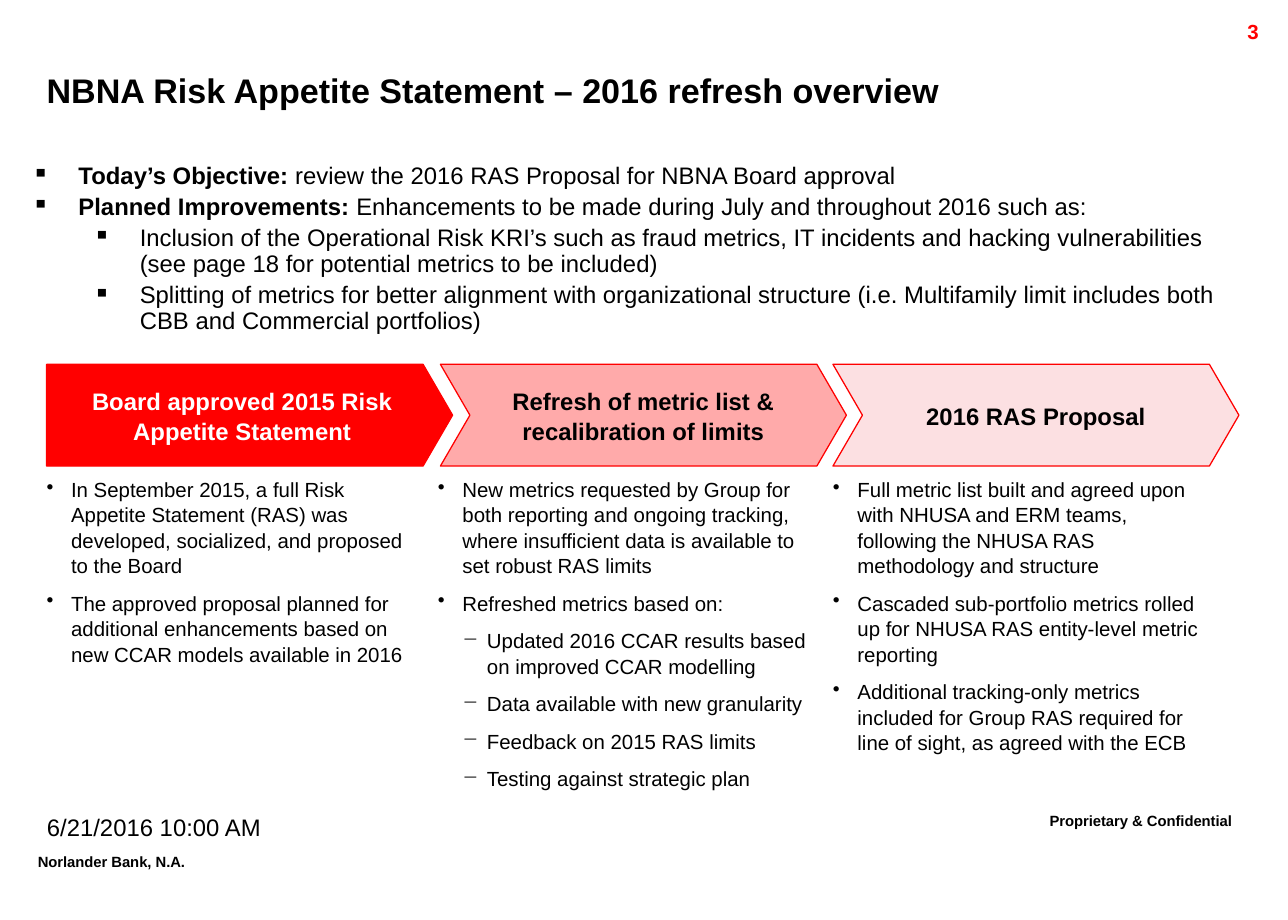
from dataclasses import dataclass

import lxml.etree
import pptx
import pptx.dml.color
import pptx.enum.shapes
import pptx.enum.text
import pptx.oxml.ns
import pptx.util

EMU_PER_PX = 9144  # 100 px to the inch
FONT = "Arial"
BLACK, WHITE, RED = "000000", "FFFFFF", "FF0000"
ALIGN = pptx.enum.text.PP_ALIGN
ANCHOR = pptx.enum.text.MSO_ANCHOR
PRESET = pptx.enum.shapes.MSO_SHAPE


@dataclass
class Item:
    text: str
    level: int = 0
    lead: str = ""  # bold opening words


@dataclass
class Stage:
    heading: str
    preset: int
    fill: str
    color: str
    arrow_left: int
    text_left: int
    text_width: int
    text_height: int
    items: list[Item]


@dataclass
class Label:
    text: str
    box: tuple[int, int, int, int]
    size: float
    bold: bool = True
    color: str = BLACK
    align: int = ALIGN.CENTER
    spacing: float = 0.86
    raised: int = 0
    margin: tuple[int, int] = (10, 5)
    anchor: int = ANCHOR.TOP
    wrap: bool = True


OBJECTIVES = [
    Item("review the 2016 RAS Proposal for NBNA Board approval", lead="Today’s Objective: "),
    Item(" Enhancements to be made during July and throughout 2016 such as:",
         lead="Planned Improvements:"),
    Item("Inclusion of the Operational Risk KRI’s such as fraud metrics, IT incidents and "
         "hacking vulnerabilities  (see page 18 for potential metrics to be included)", 1),
    Item("Splitting of metrics for better alignment with organizational structure "
         "(i.e. Multifamily limit includes both CBB and Commercial portfolios)", 1),
]

STAGES = [
    Stage("Board approved 2015 Risk Appetite Statement", PRESET.PENTAGON, RED, WHITE,
          38, 38, 300, 151, [
              Item("In September 2015, a full Risk Appetite Statement (RAS) was developed, "
                   "socialized, and proposed to the Board"),
              Item("The approved proposal planned for additional enhancements based on "
                   "new CCAR models available in 2016"),
          ]),
    Stage("Refresh of metric list & recalibration of limits", PRESET.CHEVRON, "FFAAAA", BLACK,
          359, 357, 306, 251, [
              Item("New metrics requested by Group for both reporting and ongoing tracking, "
                   "where insufficient data is available to set robust RAS limits"),
              Item("Refreshed metrics based on:"),
              Item("Updated 2016 CCAR results based on improved CCAR modelling", 1),
              Item("Data available with new granularity", 1),
              Item("Feedback on 2015 RAS limits", 1),
              Item("Testing against strategic plan", 1),
          ]),
    Stage("2016 RAS Proposal", PRESET.CHEVRON, "FCE0E2", BLACK,
          679, 679, 309, 222, [
              Item("Full metric list built and agreed upon with NHUSA and ERM teams, "
                   "following the NHUSA RAS methodology and structure"),
              Item("Cascaded sub-portfolio metrics rolled up for NHUSA RAS entity-level "
                   "metric reporting"),
              Item("Additional tracking-only metrics included for Group RAS required for "
                   "line of sight, as agreed with the ECB"),
          ]),
]

LABELS = [
    Label("Norlander Bank, N.A.", (21, 691, 168, 32), 15, align=ALIGN.LEFT, raised=30, wrap=False),
    Label("6/21/2016 10:00 AM", (5, 661, 241, 34), 14, bold=False),
    Label("Proprietary & Confidential", (821, 658, 218, 35), 15, raised=30),
    Label("3", (936, 11, 100, 24), 12, color=RED, align=ALIGN.RIGHT, spacing=1.0),
    Label("NBNA Risk Appetite Statement – 2016 refresh overview", (38, 49, 948, 48), 20,
          align=ALIGN.LEFT, spacing=1.0, margin=(0, 0), anchor=ANCHOR.MIDDLE),
]


def px(value: int) -> pptx.util.Emu:
    return pptx.util.Emu(value * EMU_PER_PX)


def rgb(value: str) -> pptx.dml.color.RGBColor:
    return pptx.dml.color.RGBColor.from_string(value)


def add_text(paragraph, text: str, *, size: float, bold: bool = False,
             color: str = BLACK, raised: int = 0) -> None:
    run = paragraph.add_run()
    run.text = text
    run.font.name = FONT
    run.font.size = pptx.util.Pt(size)
    run.font.bold = bold
    run.font.color.rgb = rgb(color)
    if raised:
        run.font._element.set("baseline", str(raised * 1000))


def set_margins(frame, horizontal: int, vertical: int) -> None:
    frame.margin_left = frame.margin_right = px(horizontal)
    frame.margin_top = frame.margin_bottom = px(vertical)


def add_bullet(paragraph, marker: str, left: int, hanging: int) -> None:
    properties = paragraph._p.get_or_add_pPr()
    properties.set("marL", str(px(left)))
    properties.set("indent", str(-px(hanging)))
    bullet = lxml.etree.SubElement(properties, pptx.oxml.ns.qn("a:buChar"))
    bullet.set("char", marker)


def fill_list(frame, items: list[Item], *, size: float, markers: str, hanging: int,
              step: int, spacing: float, before: float = 0, after: float = 0) -> None:
    for index, item in enumerate(items):
        paragraph = frame.paragraphs[0] if index == 0 else frame.add_paragraph()
        add_bullet(paragraph, markers[item.level], hanging + step * item.level, hanging)
        paragraph.level = item.level
        paragraph.alignment = ALIGN.LEFT
        paragraph.line_spacing = spacing
        paragraph.space_before = pptx.util.Pt(before if index else 0)
        paragraph.space_after = pptx.util.Pt(after)
        if item.lead:
            add_text(paragraph, item.lead, size=size, bold=True)
        add_text(paragraph, item.text, size=size)


def add_label(slide, label: Label) -> None:
    frame = slide.shapes.add_textbox(*map(px, label.box)).text_frame
    frame.word_wrap = label.wrap
    frame.vertical_anchor = label.anchor
    set_margins(frame, *label.margin)
    paragraph = frame.paragraphs[0]
    paragraph.alignment = label.align
    paragraph.line_spacing = label.spacing
    add_text(paragraph, label.text, size=label.size, bold=label.bold,
             color=label.color, raised=label.raised)


def add_stage(slide, stage: Stage) -> None:
    # Arrow heading
    arrow = slide.shapes.add_shape(stage.preset, px(stage.arrow_left), px(297), px(331), px(83))
    arrow.adjustments[0] = 0.29
    arrow.shadow.inherit = False
    arrow.fill.solid()
    arrow.fill.fore_color.rgb = rgb(stage.fill)
    arrow.line.color.rgb = rgb(RED)
    arrow.line.width = pptx.util.Pt(0.75)
    frame = arrow.text_frame
    frame.word_wrap = True
    frame.vertical_anchor = ANCHOR.MIDDLE
    set_margins(frame, 8, 8)
    paragraph = frame.paragraphs[0]
    paragraph.alignment = ALIGN.CENTER
    paragraph.line_spacing = 1.04
    add_text(paragraph, stage.heading, size=14, bold=True, color=stage.color)

    # Details below the arrow
    details = slide.shapes.add_textbox(px(stage.text_left), px(388),
                                       px(stage.text_width), px(stage.text_height))
    details.text_frame.word_wrap = True
    set_margins(details.text_frame, 0, 0)
    fill_list(details.text_frame, stage.items, size=12, markers="•−", hanging=20,
              step=20, spacing=1.04, before=7)


def add_objectives(slide) -> None:
    table = slide.shapes.add_table(1, 1, px(16), px(116), px(998), px(162)).table
    table.first_row = table.horz_banding = False
    cell = table.cell(0, 0)
    cell.fill.background()
    cell.vertical_anchor = ANCHOR.BOTTOM
    fill_list(cell.text_frame, OBJECTIVES, size=14, markers="▪▪", hanging=38,
              step=50, spacing=0.97, after=3)


def main() -> None:
    presentation = pptx.Presentation()
    presentation.slide_width, presentation.slide_height = px(1050), px(750)
    slide = presentation.slides.add_slide(presentation.slide_layouts[6])
    for label in LABELS:
        add_label(slide, label)
    for stage in reversed(STAGES):
        add_stage(slide, stage)
    add_objectives(slide)
    presentation.save("out.pptx")


if __name__ == "__main__":
    main()
